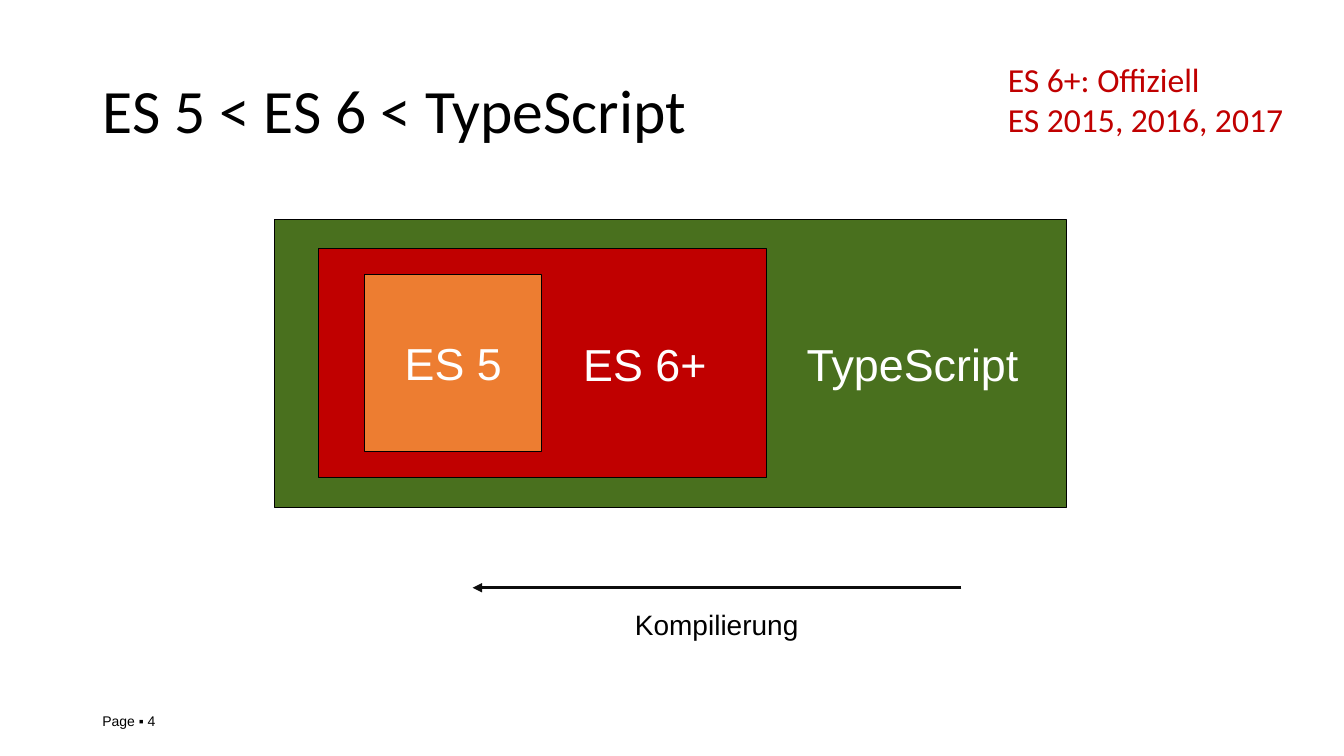
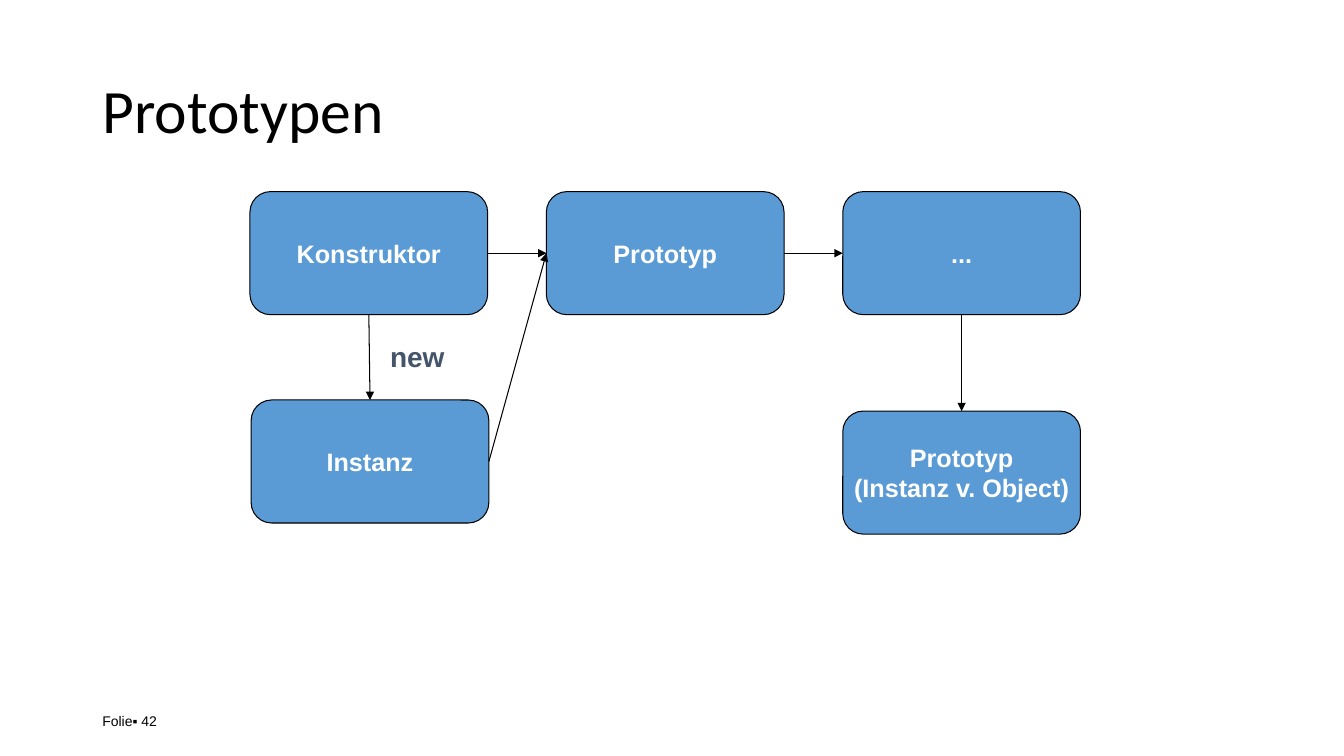
from dataclasses import dataclass

from lxml.etree import SubElement
from pptx import Presentation
from pptx.dml.color import RGBColor
from pptx.enum.shapes import MSO_CONNECTOR, MSO_SHAPE
from pptx.enum.text import MSO_ANCHOR, MSO_AUTO_SIZE, PP_ALIGN
from pptx.oxml.ns import qn
from pptx.presentation import Presentation as Deck
from pptx.shapes.autoshape import Shape
from pptx.shapes.connector import Connector
from pptx.slide import Slide
from pptx.text.text import TextFrame
from pptx.util import Cm, Pt

COLORS = {
    "black": "000000",
    "white": "FFFFFF",
    "arrow": "0D0D0D",
    "green": "49701E",
    "red": "C00000",
    "orange": "ED7D31",
    "blue": "5B9BD5",
    "slate": "44546A",
}
TITLE_ONLY = 5
TOP, LEFT, BOTTOM, RIGHT = range(4)  # connection sites of a box


@dataclass(frozen=True)
class Style:
    size: int
    color: str = "black"
    font: str = "Arial"
    bold: bool = False
    align: PP_ALIGN = PP_ALIGN.LEFT


@dataclass(frozen=True)
class Area:
    left: float
    top: float
    width: float
    height: float

    def emu(self) -> tuple[Cm, Cm, Cm, Cm]:
        return Cm(self.left), Cm(self.top), Cm(self.width), Cm(self.height)


@dataclass(frozen=True)
class Box:
    lines: tuple[str, ...]
    area: Area
    fill: str
    style: Style
    kind: MSO_SHAPE = MSO_SHAPE.RECTANGLE
    pad: float = 0.1  # right inset


@dataclass(frozen=True)
class Link:
    start: str
    out: int
    end: str
    into: int


HEAD = Style(44, font="Calibri")
FOOT = Style(10)
NOTE = Style(24, "red", "Calibri")
LABEL = Style(20)
NEW = Style(20, "slate", bold=True)
SET = Style(32, "white", align=PP_ALIGN.CENTER)
OUTER = Style(32, "white", align=PP_ALIGN.RIGHT)
NODE = Style(18, "white", bold=True, align=PP_ALIGN.CENTER)

HEAD_AREA = Area(2.33, 1.02, 29.21, 3.68)
FOOT_AREA = Area(2.33, 17.65, 7.62, 1.02)

SETS = (
    Box(("TypeScript",), Area(6.93, 5.54, 19.94, 7.26), "green", OUTER, pad=1.2),
    Box(("ES 6+",), Area(8.03, 6.27, 11.3, 5.77), "red", OUTER, pad=1.52),
    Box(("ES 5",), Area(9.19, 6.91, 4.47, 4.47), "orange", SET),
)


def node(col: int, top: float, *lines: str, shift: float = 0) -> Box:
    area = Area(6.3 + 7.47 * col + shift, top, 5.99, 3.1)
    return Box(lines, area, "blue", NODE, MSO_SHAPE.ROUNDED_RECTANGLE)


NODES = {
    "maker": node(0, 4.83, "Konstruktor"),
    "proto": node(1, 4.83, "Prototyp"),
    "chain": node(2, 4.83, "..."),
    "object": node(2, 10.36, "Prototyp", "(Instanz v. Object)"),
    "item": node(0, 10.08, "Instanz", shift=0.03),
}
LINKS = (
    Link("maker", RIGHT, "proto", LEFT),
    Link("proto", RIGHT, "chain", LEFT),
    Link("chain", BOTTOM, "object", TOP),
    Link("item", RIGHT, "proto", LEFT),
    Link("maker", BOTTOM, "item", TOP),
)


def rgb(name: str) -> RGBColor:
    return RGBColor.from_string(COLORS[name])


def write(frame: TextFrame, lines: tuple[str, ...], style: Style) -> None:
    frame.word_wrap = True
    frame.auto_size = MSO_AUTO_SIZE.NONE
    for i, line in enumerate(lines):
        para = frame.add_paragraph() if i else frame.paragraphs[0]
        para.alignment = style.align
        run = para.add_run()
        run.text = line
        font = run.font
        font.name, font.size, font.bold = style.font, Pt(style.size), style.bold
        font.color.rgb = rgb(style.color)


def add_text(slide: Slide, area: Area, style: Style, *lines: str) -> TextFrame:
    frame = slide.shapes.add_textbox(*area.emu()).text_frame
    write(frame, lines, style)
    return frame


def add_box(slide: Slide, box: Box) -> Shape:
    shape = slide.shapes.add_shape(box.kind, *box.area.emu())
    shape.shadow.inherit = False
    shape.fill.solid()
    shape.fill.fore_color.rgb = rgb(box.fill)
    shape.line.color.rgb = rgb("black")
    shape.line.width = Pt(0.75)
    frame = shape.text_frame
    frame.vertical_anchor = MSO_ANCHOR.MIDDLE
    frame.margin_left, frame.margin_right = Cm(0.1), Cm(box.pad)
    write(frame, box.lines, box.style)
    return shape


def add_arrow(slide: Slide, x1: float, y1: float, x2: float, y2: float,
              color: str = "black", width: float = 0.75) -> Connector:
    arrow = slide.shapes.add_connector(
        MSO_CONNECTOR.STRAIGHT, Cm(x1), Cm(y1), Cm(x2), Cm(y2))
    arrow.line.color.rgb = rgb(color)
    arrow.line.width = Pt(width)
    SubElement(arrow.line._get_or_add_ln(), qn("a:tailEnd"), type="triangle")
    SubElement(arrow._element.spPr, qn("a:effectLst"))
    return arrow


def add_slide(deck: Deck, title: str, foot: str) -> Slide:
    """Add a slide with the shared title and footer."""
    slide = deck.slides.add_slide(deck.slide_layouts[TITLE_ONLY])
    head = slide.shapes.title
    head.left, head.top, head.width, head.height = HEAD_AREA.emu()
    write(head.text_frame, (title,), HEAD)
    head.text_frame.vertical_anchor = MSO_ANCHOR.MIDDLE
    head.text_frame.paragraphs[0].line_spacing = 0.9
    frame = add_text(slide, FOOT_AREA, FOOT, foot)
    frame.vertical_anchor = MSO_ANCHOR.MIDDLE
    return slide


def add_sets(deck: Deck) -> None:
    slide = add_slide(deck, "ES 5 < ES 6 < TypeScript", "Page ▪ 4")
    for box in SETS:
        add_box(slide, box)
    add_arrow(slide, 24.23, 14.81, 11.91, 14.81, "arrow", 2.25)
    add_text(slide, Area(15.75, 15.19, 5, 1.12), LABEL, "Kompilierung")
    add_text(slide, Area(25.15, 1.35, 8.18, 2.31), NOTE,
             "ES 6+: Offiziell", "ES 2015, 2016, 2017")


def add_protos(deck: Deck) -> None:
    slide = add_slide(deck, "Prototypen", "Folie▪ 42")
    shapes = {key: add_box(slide, box) for key, box in NODES.items()}
    for link in LINKS:
        arrow = add_arrow(slide, 0, 0, 0, 0)
        arrow.begin_connect(shapes[link.start], link.out)
        arrow.end_connect(shapes[link.end], link.into)
    add_text(slide, Area(9.58, 8.43, 2.5, 1.12), NEW, "new")


def main() -> None:
    deck = Presentation()
    deck.slide_width, deck.slide_height = Cm(33.87), Cm(19.05)
    add_sets(deck)
    add_protos(deck)
    deck.save("out.pptx")


if __name__ == "__main__":
    main()
